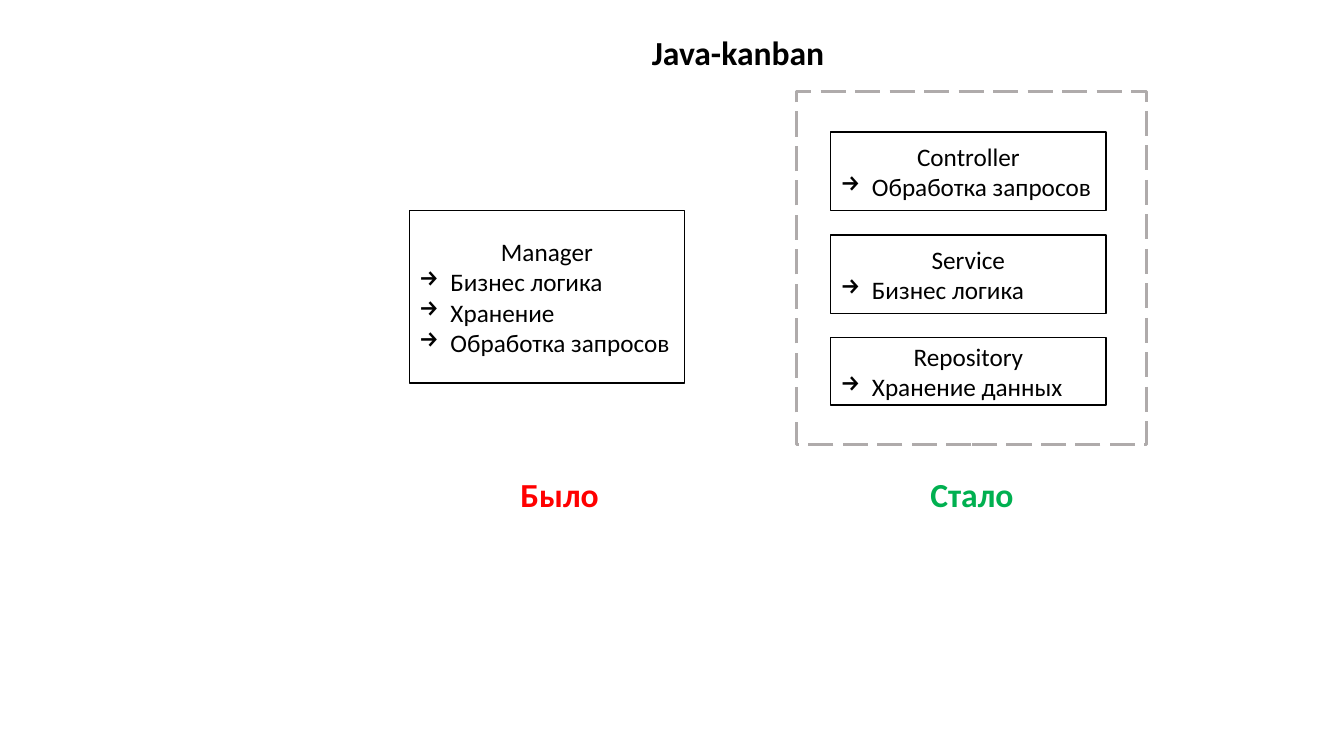
from dataclasses import dataclass

from lxml import etree
from pptx import Presentation
from pptx import util as u
from pptx.dml.color import RGBColor
from pptx.enum import dml, shapes, text
from pptx.oxml import ns

FONT = "Calibri"
BLACK = "000000"
BOX_WIDTH = 2.73
LAYER_LEFT = 8.24
LABEL_TOP, LABEL_WIDTH, LABEL_HEIGHT = 4.65, 1.32, 0.5
BULLET_INDENT = u.Inches(0.31)


@dataclass
class Component:
    name: str
    duties: list[str]
    left: float
    top: float
    height: float


@dataclass
class Label:
    caption: str
    left: float
    color: str


COMPONENTS = [
    Component("Manager", ["Бизнес логика", "Хранение", "Обработка запросов"], 4.06, 2.09, 1.71),
    Component("Controller", ["Обработка запросов"], LAYER_LEFT, 1.31, 0.78),
    Component("Service", ["Бизнес логика"], LAYER_LEFT, 2.33, 0.78),
    Component("Repository", ["Хранение данных"], LAYER_LEFT, 3.35, 0.67),
]
LABELS = [Label("Было", 4.89, "FF0000"), Label("Стало", 8.98, "00B050")]


def rgb(color: str) -> RGBColor:
    return RGBColor.from_string(color)


def apply(target, values: dict) -> None:
    for name, value in values.items():
        setattr(target, name, value)


def write(paragraph, content: str, size: int, color: str, bold: bool, alignment) -> None:
    paragraph.alignment = alignment
    run = paragraph.add_run()
    run.text = content
    apply(run.font, {"name": FONT, "size": u.Pt(size), "bold": bold})
    run.font.color.rgb = rgb(color)


def add_bullet(paragraph) -> None:
    properties = paragraph._p.get_or_add_pPr()
    properties.set("marL", str(BULLET_INDENT))
    properties.set("indent", str(-BULLET_INDENT))
    etree.SubElement(properties, ns.qn("a:buChar")).set("char", "→")


def add_outline(slide, left: float, top: float, width: float, height: float,
                color: str, weight: float):
    shape = slide.shapes.add_shape(
        shapes.MSO_SHAPE.RECTANGLE, *map(u.Inches, (left, top, width, height)))
    shape.shadow.inherit = False
    shape.fill.background()
    shape.line.color.rgb = rgb(color)
    shape.line.width = u.Pt(weight)
    return shape


def add_component(slide, component: Component) -> None:
    shape = add_outline(slide, component.left, component.top, BOX_WIDTH, component.height, BLACK, 1)
    frame = shape.text_frame
    apply(frame, {"word_wrap": True, "vertical_anchor": text.MSO_ANCHOR.MIDDLE})
    write(frame.paragraphs[0], component.name, 18, BLACK, False, text.PP_ALIGN.CENTER)
    for duty in component.duties:
        paragraph = frame.add_paragraph()
        write(paragraph, duty, 18, BLACK, False, text.PP_ALIGN.LEFT)
        add_bullet(paragraph)


def write_heading(shape, caption: str, color: str) -> None:
    apply(shape.text_frame, {
        "word_wrap": True,
        "auto_size": text.MSO_AUTO_SIZE.SHAPE_TO_FIT_TEXT,
        "vertical_anchor": text.MSO_ANCHOR.TOP,
    })
    write(shape.text_frame.paragraphs[0], caption, 24, color, True, text.PP_ALIGN.CENTER)


def add_label(slide, label: Label) -> None:
    box = slide.shapes.add_textbox(
        *map(u.Inches, (label.left, LABEL_TOP, LABEL_WIDTH, LABEL_HEIGHT)))
    write_heading(box, label.caption, label.color)


def main() -> None:
    presentation = Presentation()
    apply(presentation, {"slide_width": u.Inches(13.33), "slide_height": u.Inches(7.5)})
    slide = presentation.slides.add_slide(presentation.slide_layouts[5])

    # Title
    title = slide.shapes.title
    apply(title, {"left": u.Inches(6.21), "top": u.Inches(0.27),
                  "width": u.Inches(2.22), "height": u.Inches(0.5)})
    write_heading(title, "Java-kanban", BLACK)

    # Components before and after the split
    for component in COMPONENTS:
        add_component(slide, component)

    # Dashed frame around the new layers
    frame = add_outline(slide, 7.9, 0.91, 3.47, 3.5, "AFABAB", 2.25)
    frame.line.dash_style = dml.MSO_LINE.LONG_DASH

    # Captions under both sides
    for label in LABELS:
        add_label(slide, label)

    presentation.save("out.pptx")


if __name__ == "__main__":
    main()
